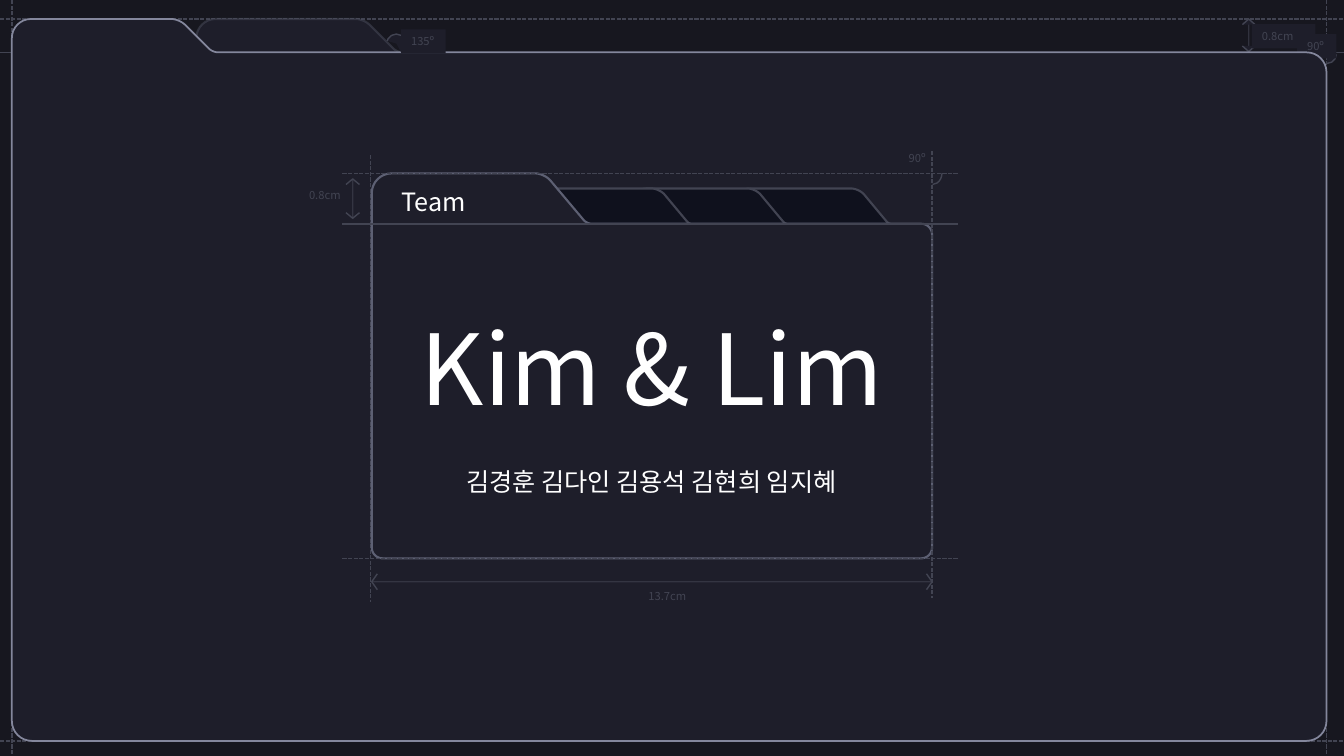
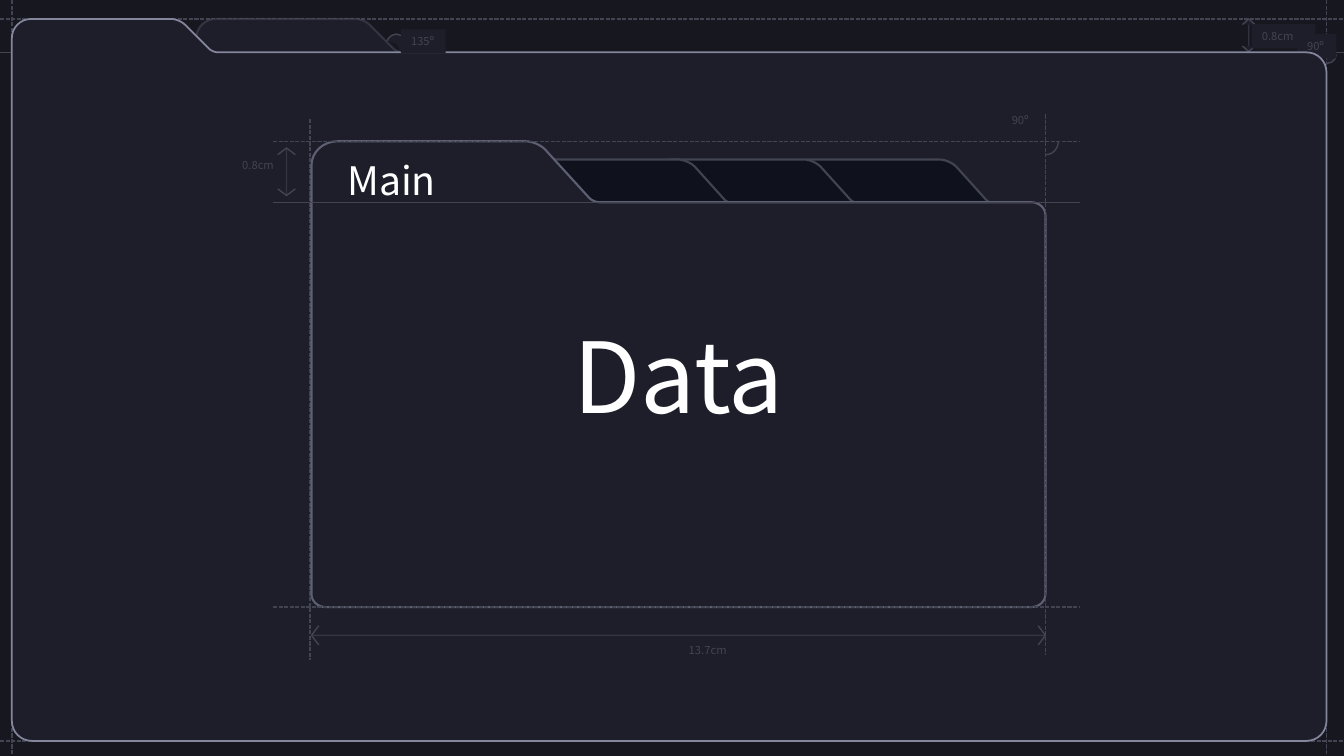
from lxml import etree
from pptx import Presentation
from pptx import util as u
from pptx.dml.color import RGBColor
from pptx.enum import dml, shapes, text
from pptx.oxml.ns import qn

BACKDROP = RGBColor(0x17, 0x17, 0x1F)
SURFACE = RGBColor(0x1E, 0x1E, 0x2A)
TAB_FILL = RGBColor(0x0F, 0x11, 0x1D)
GUIDE = RGBColor(0x42, 0x44, 0x52)
BACK_TAB_EDGE = RGBColor(0x4D, 0x50, 0x5F)
PANEL_EDGE = RGBColor(0x5D, 0x60, 0x73)
FRAME_EDGE = RGBColor(0x84, 0x87, 0x9C)
WHITE = RGBColor(0xFF, 0xFF, 0xFF)
FONT = "Noto Sans CJK KR"
WIDTH, HEIGHT = 33.87, 19.05
PANEL_WIDTH, PANEL_HEIGHT, FOLD = 14.12, 9.7, 1.27


def rounded(corners, steps=8):
    """Turn (x, y, radius) corners into the points of a rounded outline."""
    points = []
    for index, (x, y, radius) in enumerate(corners):
        if not radius:
            points.append((x, y))
            continue
        arms = []
        for other in (corners[index - 1], corners[(index + 1) % len(corners)]):
            dx, dy = other[0] - x, other[1] - y
            length = (dx * dx + dy * dy) ** 0.5
            arms.append((dx / length * radius, dy / length * radius))
        (ax, ay), (bx, by) = arms
        for step in range(steps + 1):
            t = step / steps
            s = 1 - t
            before = s ** 3 + 1.35 * s * s * t
            after = t ** 3 + 1.35 * t * t * s
            points.append((x + ax * before + bx * after, y + ay * before + by * after))
    return points


class Sketch:
    """Style and current slide; lengths are centimetres from a movable, scalable origin."""

    def __init__(self):
        self.deck = Presentation()
        self.deck.slide_width, self.deck.slide_height = u.Cm(WIDTH), u.Cm(HEIGHT)
        self.layout = self.deck.slide_layouts[5]
        fill = self.layout.background.fill
        fill.solid()
        fill.fore_color.rgb = BACKDROP
        for holder in list(self.layout.placeholders)[1:]:
            self.layout.shapes.element.remove(holder.element)
        self.page = None
        self.set_origin()

    def new_page(self):
        self.page = self.deck.slides.add_slide(self.layout)
        self.set_origin()

    def set_origin(self, left=0, top=0, scale_x=1, scale_y=1):
        self.left, self.top = left, top
        self.scale_x, self.scale_y = scale_x, scale_y

    def point(self, x, y):
        return u.Cm(self.left + x * self.scale_x), u.Cm(self.top + y * self.scale_y)

    def box(self, x, y, width, height):
        left, top = self.point(x, y)
        return left, top, u.Cm(width * self.scale_x), u.Cm(height * self.scale_y)

    def paint(self, shape, fill=None, edge=None, weight=1, opacity=100):
        shape.shadow.inherit = False
        if fill is None:
            shape.fill.background()
        else:
            shape.fill.solid()
            shape.fill.fore_color.rgb = fill
        if edge is None:
            shape.line.fill.background()
        else:
            self.stroke(shape, edge, weight, opacity)

    def stroke(self, shape, color, weight=1, opacity=100):
        shape.line.color.rgb = color
        shape.line.width = u.Pt(weight)
        if opacity < 100:
            tone = shape.element.find(".//" + qn("a:ln")).find(".//" + qn("a:srgbClr"))
            etree.SubElement(tone, qn("a:alpha")).set("val", str(opacity * 1000))

    def guide(self, start, end, dashed=True, opacity=100):
        line = self.page.shapes.add_connector(
            shapes.MSO_CONNECTOR.STRAIGHT, *self.point(*start), *self.point(*end))
        self.stroke(line, GUIDE, opacity=opacity)
        if dashed:
            line.line.dash_style = dml.MSO_LINE.SQUARE_DOT
        etree.SubElement(line.element.spPr, qn("a:effectLst"))

    def outline(self, points, close=True, **paint):
        first, *rest = [self.point(*point) for point in points]
        builder = self.page.shapes.build_freeform(*first)
        builder.add_line_segments(rest, close=close)
        self.paint(builder.convert_to_shape(), **paint)

    def dimension(self, start, end, spread, fill=None, depth=0.14):
        """Draw a measuring line with an open chevron at both ends."""
        self.guide(start, end, dashed=False, opacity=61)
        for (x, y), sign in ((start, 1), (end, -1)):
            if start[0] == end[0]:
                wings = [(x + side * spread, y + sign * depth) for side in (-1, 1)]
            else:
                wings = [(x + sign * depth, y + side * spread) for side in (-1, 1)]
            self.outline([wings[0], (x, y), wings[1]], close=False, fill=fill, edge=GUIDE)

    def arc(self, x, y, width, height, start=1.33, end=53.74, fill=None):
        arc = self.page.shapes.add_shape(
            shapes.MSO_SHAPE.ARC, *self.box(x, y, width, height))
        arc.adjustments[0], arc.adjustments[1] = start, end
        self.paint(arc, fill, GUIDE)

    def set_text(self, shape, wording, size, color, align, anchor, wrap=True):
        frame = shape.text_frame
        frame.text = wording
        frame.word_wrap = wrap
        frame.auto_size = text.MSO_AUTO_SIZE.NONE
        frame.vertical_anchor = anchor
        para = frame.paragraphs[0]
        para.alignment = align
        font = para.runs[0].font
        font.size, font.name, font.color.rgb = u.Pt(size), FONT, color
        east_asian = etree.SubElement(shape.element.find(".//" + qn("a:rPr")), qn("a:ea"))
        east_asian.set("typeface", FONT)

    def label(self, wording, x, y, width, height=0.61, size=8, color=GUIDE,
              align=text.PP_ALIGN.LEFT, fill=None, wrap=True):
        box = self.page.shapes.add_textbox(*self.box(x, y, width, height))
        if fill is not None:
            box.fill.solid()
            box.fill.fore_color.rgb = fill
        self.set_text(box, wording, size, color, align, text.MSO_ANCHOR.TOP, wrap)

    def title(self, wording, x, y, width, height):
        title = self.page.shapes.title
        title.left, title.top, title.width, title.height = self.box(x, y, width, height)
        self.set_text(title, wording, 70, WHITE, text.PP_ALIGN.CENTER, text.MSO_ANCHOR.MIDDLE)
        self.page.shapes.element.append(title.element)

    def move_to_layout(self):
        """Hand everything but the title to the layout, so that all slides share it."""
        for shape in list(self.page.shapes):
            if not shape.is_placeholder:
                self.layout.shapes.element.append(shape.element)


def draw_frame(sketch):
    left, top, right, bottom, fold = 0.3, 0.48, 33.43, 18.67, 1.32
    for y in (top, bottom):
        sketch.guide((0, y), (WIDTH, y))
    for x in (left, right):
        sketch.guide((x, 0), (x, HEIGHT))
    sketch.outline(rounded([
        (4.95, top, 0.48), (9.17, top, 0.2), (10.01, fold, 0.13),
        (10.36, fold, 0), (10.36, 2.01, 0), (4.95, 2.01, 0)]),
        fill=SURFACE, edge=BACK_TAB_EDGE, weight=1.5, opacity=48)
    sketch.guide((0, fold), (WIDTH, fold), dashed=False)
    sketch.dimension((31.47, top), (31.47, 1.3), 0.16, fill=SURFACE)
    sketch.label("0.8cm", 31.55, 0.61, 1.6, fill=SURFACE)
    sketch.arc(33.2, 1.12, 0.48, 0.48, fill=SURFACE)
    sketch.label("90º", 32.69, 0.86, 0.99, fill=SURFACE, wrap=False)
    sketch.outline(rounded([
        (left, top, 0.48), (4.52, top, 0.2), (5.36, fold, 0.13),
        (right, fold, 0.5), (right, bottom, 0.5), (left, bottom, 0.5)]),
        fill=SURFACE, edge=FRAME_EDGE, weight=1.25)
    sketch.arc(9.75, 0.86, 0.48, 0.48, 117.94, 36.67, fill=SURFACE)
    sketch.label("135º", 10.11, 0.74, 1.12, fill=SURFACE, wrap=False)


def draw_folder(sketch, heading, tab_name, tab_size):
    right, bottom = PANEL_WIDTH, PANEL_HEIGHT
    sketch.guide((-0.03, -0.46), (-0.03, 10.8))
    for x in (9.14, 6.53, 4.11):
        sketch.outline(rounded([
            (x, 0.38, 0.4), (x + 3.14, 0.38, 0.2), (x + 3.9, 1.29, 0.1),
            (x + 4.24, 1.29, 0), (x + 4.24, 1.7, 0), (x, 1.7, 0)]),
            fill=TAB_FILL, edge=GUIDE, weight=1.5)
    sketch.outline(rounded([
        (0, 0, 0.5), (4.35, 0, 0.23), (5.42, FOLD, 0.12),
        (right, FOLD, 0.27), (right, bottom, 0.27), (0, bottom, 0.27)]),
        fill=SURFACE, edge=PANEL_EDGE, weight=1.5)
    for y in (0, FOLD, bottom):
        sketch.guide((-0.74, y), (14.78, y), dashed=y != FOLD)
    sketch.guide((right, -0.56), (right, 10.69))
    sketch.dimension((-0.48, 0.14), (-0.48, 1.13), 0.17)
    sketch.label("0.8cm", -1.85, 0.25, 1.32, align=text.PP_ALIGN.RIGHT)
    sketch.arc(13.89, -0.3, 0.48, 0.58)
    sketch.label("90º", 13.28, -0.69, 0.81, wrap=False)
    sketch.dimension((0, 10.29), (right, 10.29), 0.2)
    sketch.label("13.7cm", 6.53, 10.36, 1.65, align=text.PP_ALIGN.RIGHT)
    sketch.title(heading, 0, 0, right, bottom)
    sketch.label(tab_name, 0.5, 0.21, 3.4, 1.1, tab_size, WHITE)


def main():
    sketch = Sketch()
    sketch.new_page()
    draw_frame(sketch)
    sketch.move_to_layout()
    sketch.set_origin(9.37, 4.37)
    draw_folder(sketch, "Kim & Lim", "Team", 18)
    sketch.label("김경훈 김다인 김용석 김현희 임지혜", 2.13, 7.26, 10.85, 1.02, 18, WHITE)

    sketch.new_page()
    sketch.set_origin(7.85, 3.56, 1.31, 1.21)
    draw_folder(sketch, "Data", "Main", 28)
    sketch.deck.save("out.pptx")


if __name__ == "__main__":
    main()
